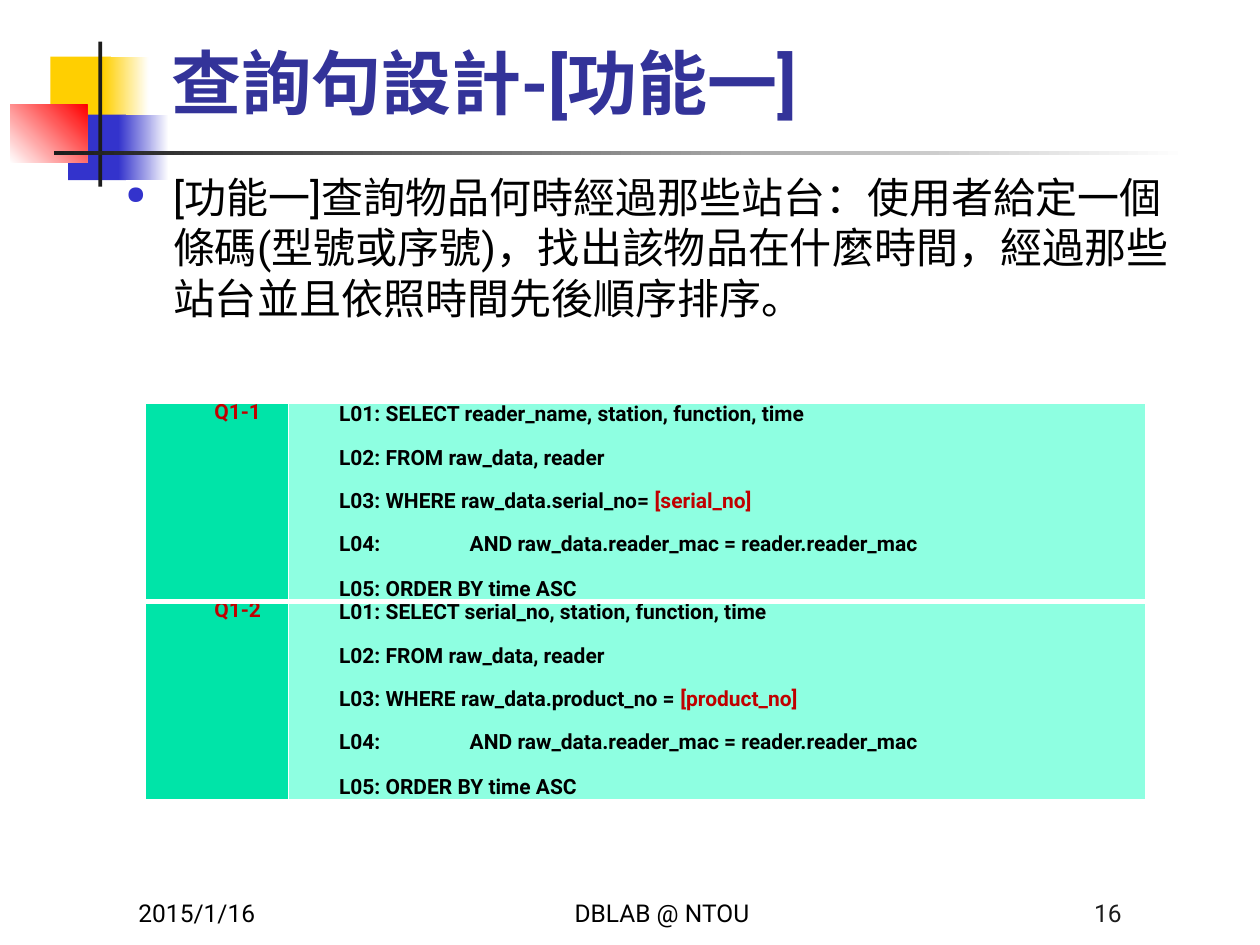
import pptx
import pptx.util
import pptx.dml.color
import pptx.enum.shapes
import pptx.enum.text
from lxml import etree

Pt = pptx.util.Pt
RGB = pptx.dml.color.RGBColor.from_string
ALIGN = pptx.enum.text.PP_ALIGN
ANCHOR = pptx.enum.text.MSO_ANCHOR
NS = "http://schemas.openxmlformats.org/drawingml/2006/main"

C = {"yellow": "FFCF01", "blue": "3333CC", "red": "FF0000", "white": "FFFFFF",
     "dark": "1C1C1C", "title": "333399", "black": "000000", "param": "C00000",
     "label": "00E4A8", "code": "8EFFE1"}


def add_run(p, text, size, color, bold=False):
    r = p.add_run()
    r.text = text
    r.font.name = "Roboto"
    r.font.size = Pt(size)
    r.font.bold = bold
    r.font.color.rgb = RGB(C[color])


def add_xml(parent, tag, **attrs):
    return etree.SubElement(parent, f"{{{NS}}}{tag}", attrs)


prs = pptx.Presentation()
prs.slide_width, prs.slide_height = Pt(720), Pt(540)
s = prs.slides.add_slide(prs.slide_layouts[5])

# Corner decoration: left, top, width, height, colours, angle
blocks = [
    (28.8, 32.4, 34.6, 37.4, ["yellow"], 0),
    (59, 32.4, 26, 37.4, ["yellow", "white"], 0),
    (38.9, 65.5, 33.1, 37.4, ["blue"], 0),
    (67.7, 65.5, 28.8, 37.4, ["blue", "white"], 0),
    (5.8, 59.8, 44, 33.1, ["white", "red"], 45),
    (56.2, 23.8, 2.2, 82.8, ["dark"], 0),
    (31, 86.4, 648, 2.2, ["dark", "white"], 0),
]
for x, y, w, h, colors, angle in blocks:
    sp = s.shapes.add_shape(pptx.enum.shapes.MSO_SHAPE.RECTANGLE, Pt(x), Pt(y), Pt(w), Pt(h))
    sp.shadow.inherit = False
    sp.line.fill.background()
    if len(colors) == 1:
        sp.fill.solid()
        sp.fill.fore_color.rgb = RGB(C[colors[0]])
    else:
        sp.fill.gradient()
        sp.fill.gradient_angle = angle
        for stop, color, pos in zip(sp.fill.gradient_stops, colors, (0, 1)):
            stop.color.rgb = RGB(C[color])
            stop.position = pos

# Title
sp = s.shapes.title
sp.left, sp.top, sp.width, sp.height = Pt(90.7), Pt(12.2), Pt(613.4), Pt(62)
tf = sp.text_frame
tf.word_wrap = True
tf.auto_size = pptx.enum.text.MSO_AUTO_SIZE.NONE
tf.vertical_anchor = ANCHOR.BOTTOM
p = tf.paragraphs[0]
p.alignment = ALIGN.LEFT
add_run(p, "查詢句設計-[功能一]", 40, "title", True)

# Description with a round bullet
sp = s.shapes.add_textbox(Pt(64.8), Pt(94.3), Pt(614.9), Pt(390.2))
tf = sp.text_frame
tf.word_wrap = True
p = tf.paragraphs[0]
pPr = p._p.get_or_add_pPr()
pPr.set("marL", str(Pt(27)))
pPr.set("indent", str(-Pt(27)))
add_xml(add_xml(pPr, "buClr"), "srgbClr", val=C["blue"])
add_xml(pPr, "buSzPct", val="60000")
add_xml(pPr, "buChar", char="●")
add_run(p, "[功能一]查詢物品何時經過那些站台：使用者給定一個條碼(型號或序號)，"
           "找出該物品在什麼時間，經過那些站台並且依照時間先後順序排序。", 24, "black")

# Query table
queries = [("Q1-1", "reader_name", "raw_data.serial_no= ", "[serial_no]"),
           ("Q1-2", "serial_no", "raw_data.product_no = ", "[product_no]")]
table = s.shapes.add_table(2, 2, Pt(82.8), Pt(230.6), Pt(572), Pt(226)).table
table.first_row = table.horz_banding = False
for col, width in zip(table.columns, (82, 490)):
    col.width = Pt(width)
for i, (name, field, condition, param) in enumerate(queries):
    table.rows[i].height = Pt(113)
    code = [
        [(f"L01: SELECT {field}, station, function, time", "black")],
        [("L02: FROM raw_data, reader", "black")],
        [(f"L03: WHERE {condition}", "black"), (param, "param")],
        [("L04: 　　　　AND raw_data.reader_mac = reader.reader_mac", "black")],
        [("L05: ORDER BY time ASC", "black")],
    ]
    columns = [([[(name, "param")]], "label", ALIGN.CENTER, 12),
               (code, "code", ALIGN.LEFT, 13)]
    for j, (lines, fill, align, spacing) in enumerate(columns):
        cell = table.cell(i, j)
        cell.margin_left = cell.margin_right = Pt(5)
        cell.margin_top = cell.margin_bottom = 0
        tf = cell.text_frame
        for k, runs in enumerate(lines):
            p = tf.add_paragraph() if k else tf.paragraphs[0]
            p.alignment = align
            p.line_spacing = Pt(spacing)
            p.space_before = Pt(6 if k else 0)
            p.space_after = Pt(6)
            p._p.get_or_add_pPr().set("indent", str(Pt(24)))
            for text, color in runs:
                add_run(p, text, 12, color, True)
        # Borders come before the fill in the cell properties
        tcPr = cell._tc.get_or_add_tcPr()
        for side in ("lnL", "lnR", "lnT", "lnB"):
            width = 3 if (i, side) in ((0, "lnB"), (1, "lnT")) else 1
            ln = add_xml(tcPr, side, w=str(Pt(width)))
            add_xml(add_xml(ln, "solidFill"), "srgbClr", val=C["white"])
        cell.fill.solid()
        cell.fill.fore_color.rgb = RGB(C[fill])

# Footer
footers = [(72, 149.8, "2015/1/16", ALIGN.LEFT, "black"),
           (264.2, 228.2, "DBLAB @ NTOU", ALIGN.CENTER, "black"),
           (498.2, 149.8, "16", ALIGN.RIGHT, "dark")]
for x, w, text, align, color in footers:
    tf = s.shapes.add_textbox(Pt(x), Pt(497.5), Pt(w), Pt(36)).text_frame
    tf.word_wrap = True
    tf.vertical_anchor = ANCHOR.BOTTOM
    p = tf.paragraphs[0]
    p.alignment = align
    add_run(p, text, 14, color)

prs.save("out.pptx")
